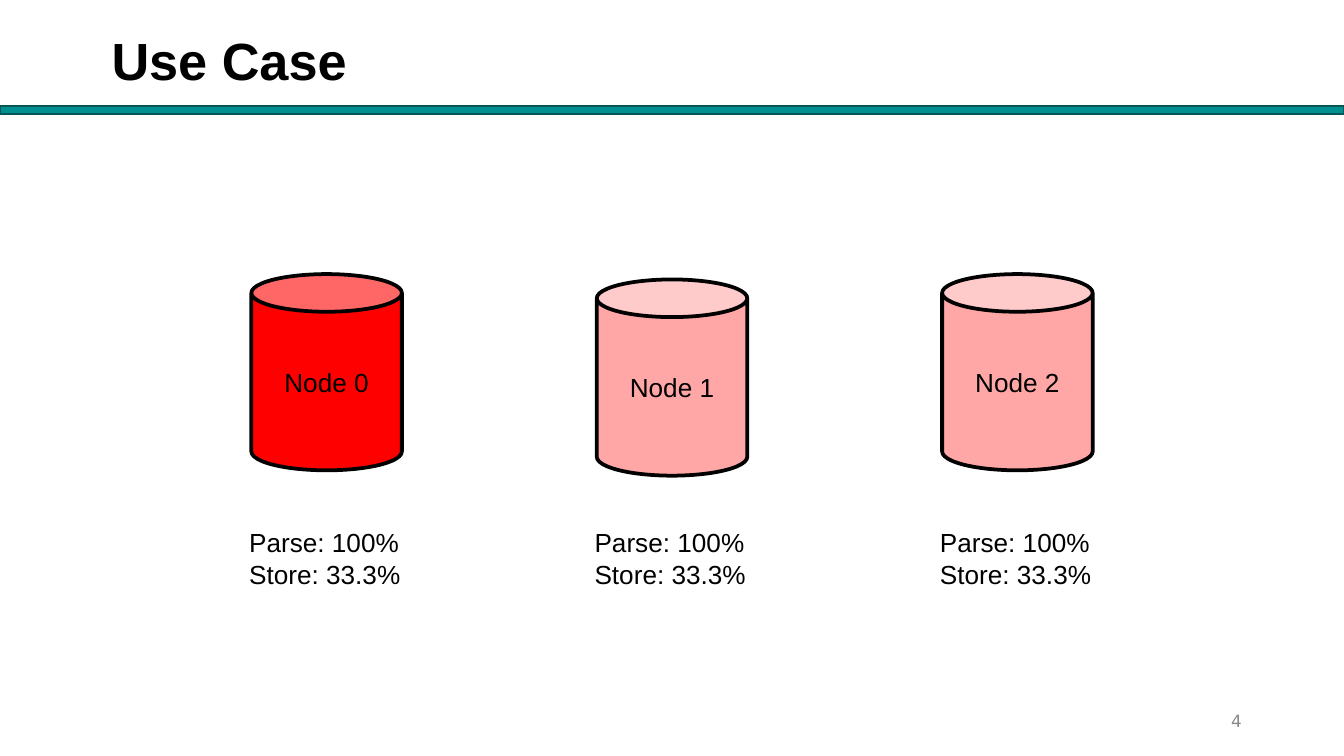
"""Build the use case slide: three storage nodes with their parse and store shares."""
from dataclasses import dataclass

import pptx
import pptx.dml.color
import pptx.enum.shapes
import pptx.enum.text
import pptx.util

In, Pt = pptx.util.Inches, pptx.util.Pt
RGB = pptx.dml.color.RGBColor.from_string
MSO = pptx.enum.shapes.MSO_SHAPE
ALIGN, ANCHOR, FIT = pptx.enum.text.PP_ALIGN, pptx.enum.text.MSO_ANCHOR, pptx.enum.text.MSO_AUTO_SIZE


@dataclass(frozen=True)
class Theme:
    font: str = "Arial"
    number_font: str = "DejaVu Sans"
    ink: str = "000000"
    muted: str = "888888"
    bar: str = "008F90"
    bar_line: str = "065656"
    active: str = "FF0000"
    idle: str = "FFA7A7"
    title: int = 28
    body: int = 14
    small: int = 9


T = Theme()
W = 10
H = W * 9 / 16
TITLE, PAGE = "Use Case", "4"
SHARES = ["Parse: 100%", "Store: 33.3%"]
NODES = [("Node 0", T.active, 0), ("Node 1", T.idle, 0.04), ("Node 2", T.idle, 0)]
PITCH = 2.57
CAN_W, CAN_H, CAN_TOP = 1.12, 1.46, 2.04
LABEL_W, LABEL_H, LABEL_TOP = 1.35, 0.57, 3.87
TIGHT = (0.07, 0.04)


def write(sp, lines, size, font=T.font, color=T.ink, bold=False,
          align=ALIGN.LEFT, anchor=ANCHOR.TOP, inset=(0.1, 0.05), fit=FIT.NONE):
    tf = sp.text_frame
    tf.text = "\n".join(lines)
    tf.word_wrap, tf.auto_size, tf.vertical_anchor = True, fit, anchor
    tf.margin_left = tf.margin_right = In(inset[0])
    tf.margin_top = tf.margin_bottom = In(inset[1])
    for p in tf.paragraphs:
        p.alignment = align
        p.font.name, p.font.size, p.font.bold = font, Pt(size), bold
        p.font.color.rgb = RGB(color)


def add_shape(slide, kind, box, fill, line, width):
    sp = slide.shapes.add_shape(kind, *map(In, box))
    sp.shadow.inherit = False
    sp.fill.solid()
    sp.fill.fore_color.rgb = RGB(fill)
    sp.line.color.rgb = RGB(line)
    sp.line.width = Pt(width)
    return sp


def main():
    prs = pptx.Presentation()
    prs.slide_width, prs.slide_height = In(W), In(H)
    slide = prs.slides.add_slide(prs.slide_layouts[5])

    title = slide.shapes.title
    title.left, title.top, title.width, title.height = map(In, (0.76, 0.17, 2.94, 0.5))
    write(title, [TITLE], T.title, bold=True, inset=TIGHT)
    add_shape(slide, MSO.RECTANGLE, (0, 0.79, W, 0.06), T.bar, T.bar_line, 1)

    for i, (name, fill, drop) in enumerate(NODES):
        center = W / 2 + (i - (len(NODES) - 1) / 2) * PITCH
        can = add_shape(slide, MSO.CAN, (center - CAN_W / 2, CAN_TOP + drop, CAN_W, CAN_H),
                        fill, T.ink, 2)
        write(can, [name], T.body, align=ALIGN.CENTER, anchor=ANCHOR.MIDDLE)
        label = slide.shapes.add_textbox(
            *map(In, (center - LABEL_W / 2, LABEL_TOP, LABEL_W, LABEL_H)))
        write(label, SHARES, T.body, fit=FIT.SHAPE_TO_FIT_TEXT)

    number = slide.shapes.add_textbox(*map(In, (7.06, 5.21, 2.25, 0.3)))
    write(number, [PAGE], T.small, T.number_font, T.muted,
          align=ALIGN.RIGHT, anchor=ANCHOR.MIDDLE, inset=TIGHT)
    prs.save("out.pptx")


if __name__ == "__main__":
    main()
